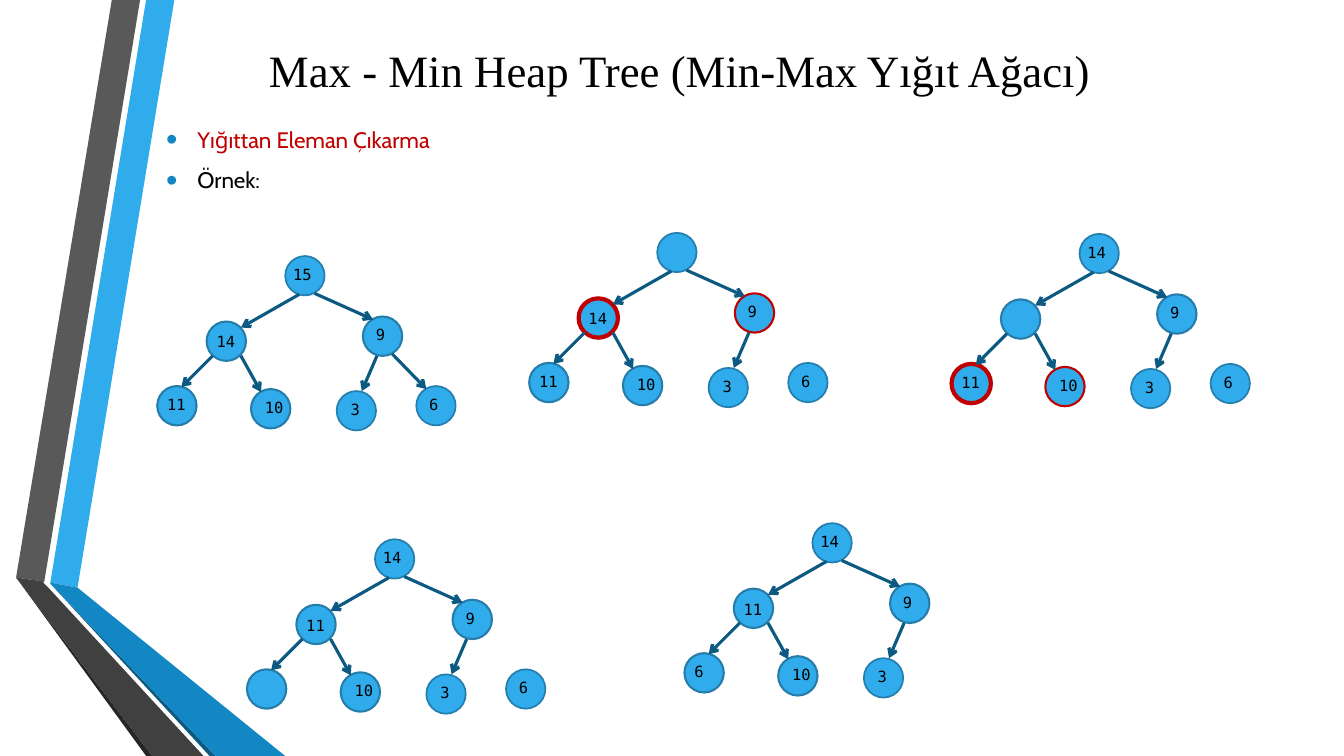
from lxml import etree
from pptx import Presentation
from pptx.dml.color import RGBColor
from pptx.enum.shapes import MSO_CONNECTOR, MSO_SHAPE
from pptx.enum.text import MSO_ANCHOR, PP_ALIGN
from pptx.oxml.ns import qn
from pptx.util import Pt

PX = 9144  # 100 px to the inch
OVAL = MSO_SHAPE.OVAL
STRAIGHT = MSO_CONNECTOR.STRAIGHT
MIDDLE = MSO_ANCHOR.MIDDLE
CENTER, JUSTIFY = PP_ALIGN.CENTER, PP_ALIGN.JUSTIFY
COLORS = {
    "sky": "30ACEC", "blue": "1287C3", "navy": "0C5A82",
    "grey": "595959", "dark": "404040", "coal": "262626",
    "rim": "277DA9", "light_rim": "247FAF",
    "red": "C00000", "black": "000000",
}
NODE_SIZE = 39

# Slot: offset from the root, label offset, label width, rim colour, rim width
SLOTS = {
    "root": (0, 0, -2, 4, 46, "light_rim", 1.25),
    "left": (-78, 65, 0, 6, 46, "rim", 1.5),
    "right": (77, 60, 3, 4, 40, "rim", 1.5),
    "leaf1": (-127, 129, 0, 4, 46, "rim", 1.5),
    "leaf2": (-34, 132, 4, 4, 40, "rim", 1.5),
    "leaf3": (51, 134, 4, 4, 40, "light_rim", 1.25),
    "leaf4": (130, 129, 3, 4, 40, "light_rim", 1.25),
}
# Arrow ends as offsets from the root
ARROWS = [
    (14, 38, -44, 71),
    (29, 37, 87, 63),
    (-72, 99, -103, 130),
    (-44, 99, -24, 135),
    (91, 99, 76, 134),
    (106, 97, 140, 132),
]
# Root place, values in slot order ("" is an empty node, None is no node),
# number of arrows, slots with a red rim
TREES = [
    (283, 254, ["15", "14", "9", "11", "10", "3", "6"], 6, {}),
    (652, 231, ["", "14", "9", "11", "10", "3", "6"], 5, {"left": 3, "right": 1.5}),
    (1071, 232, ["14", "", "9", "11", "10", "3", "6"], 5, {"leaf1": 3, "leaf2": 1.5}),
    (372, 535, ["14", "11", "9", "", "10", "3", "6"], 5, {}),
    (806, 519, ["14", "11", "9", "6", "10", "3", None], 5, {}),
]
RIBBONS = [
    ("sky", [(50, 578), (77, 583), (173, 0), (145, 0)]),
    ("grey", [(139, 0), (111, 0), (16, 573), (44, 577)]),
    ("coal", [(16, 573), (145, 750), (151, 750)]),
    ("navy", [(50, 579), (208, 750), (214, 750)]),
    ("blue", [(50, 579), (214, 750), (283, 750), (77, 583), (50, 578)]),
    ("dark", [(202, 750), (48, 583), (43, 578), (44, 577), (16, 573), (151, 750)]),
]


def rgb(name):
    return RGBColor.from_string(COLORS[name])


def style_text(para, font, size, color):
    for span in para.runs:
        span.font.name = font
        span.font.size = Pt(size)
        span.font.color.rgb = rgb(color)


deck = Presentation()
deck.slide_width, deck.slide_height = 12192000, 6858000
page = deck.slides.add_slide(deck.slide_layouts[5])

# Ribbons at the left edge
ribbon_group = page.shapes.add_group_shape()
for color, points in RIBBONS:
    builder = ribbon_group.shapes.build_freeform(*points[0], scale=PX)
    builder.add_line_segments(points[1:], close=True)
    ribbon = builder.convert_to_shape()
    ribbon.shadow.inherit = False
    ribbon.fill.solid()
    ribbon.fill.fore_color.rgb = rgb(color)
    ribbon.line.fill.background()

# Title
title = page.shapes.title
title.left, title.top, title.width, title.height = 155 * PX, 17 * PX, 1039 * PX, 104 * PX
title.text_frame.text = "Max - Min Heap Tree (Min-Max Yığıt Ağacı)"
title.text_frame.vertical_anchor = MIDDLE
title.text_frame.paragraphs[0].alignment = CENTER
style_text(title.text_frame.paragraphs[0], "Times New Roman", 32, "black")

# Bullets
body = page.shapes.add_textbox(155 * PX, 107 * PX, 1039 * PX, 129 * PX)
body.text_frame.word_wrap = True
body.text_frame.text = "Yığıttan Eleman Çıkarma\nÖrnek:"
for para, color in zip(body.text_frame.paragraphs, ["red", "black"]):
    para.alignment = JUSTIFY
    para.line_spacing = 1.5
    props = para._p.get_or_add_pPr()
    props.set("marL", str(31 * PX))
    props.set("indent", str(-31 * PX))
    bullet_color = etree.SubElement(props, qn("a:buClr"))
    etree.SubElement(bullet_color, qn("a:srgbClr"), val=COLORS["blue"])
    etree.SubElement(props, qn("a:buSzPct"), val="145000")
    etree.SubElement(props, qn("a:buFont"), typeface="Arial")
    etree.SubElement(props, qn("a:buChar"), char="•")
    style_text(para, "Cabin", 16, color)

# Heap trees
for root_x, root_y, values, arrow_count, red_rims in TREES:
    tree = page.shapes.add_group_shape().shapes

    for (slot, layout), value in zip(SLOTS.items(), values):
        if value is None:
            continue
        dx, dy, label_dx, label_dy, label_width, rim, rim_width = layout
        x, y = root_x + dx, root_y + dy
        node = tree.add_shape(OVAL, x * PX, y * PX, NODE_SIZE * PX, NODE_SIZE * PX)
        node.shadow.inherit = False
        node.fill.solid()
        node.fill.fore_color.rgb = rgb("sky")
        node.line.color.rgb = rgb("red" if slot in red_rims else rim)
        node.line.width = Pt(red_rims.get(slot, rim_width))
        if value:
            label = tree.add_textbox((x + label_dx) * PX, (y + label_dy) * PX,
                                     label_width * PX, 29 * PX)
            label.text_frame.word_wrap = True
            label.text_frame.text = value
            style_text(label.text_frame.paragraphs[0], "DejaVu Sans Mono", 11, "black")

    for x1, y1, x2, y2 in ARROWS[:arrow_count]:
        arrow = tree.add_connector(STRAIGHT, (root_x + x1) * PX, (root_y + y1) * PX,
                                   (root_x + x2) * PX, (root_y + y2) * PX)
        arrow.line.color.rgb = rgb("navy")
        arrow.line.width = Pt(2.25)
        etree.SubElement(arrow.line._get_or_add_ln(), qn("a:tailEnd"), type="arrow")
        etree.SubElement(arrow._element.spPr, qn("a:effectLst"))

deck.save("out.pptx")
